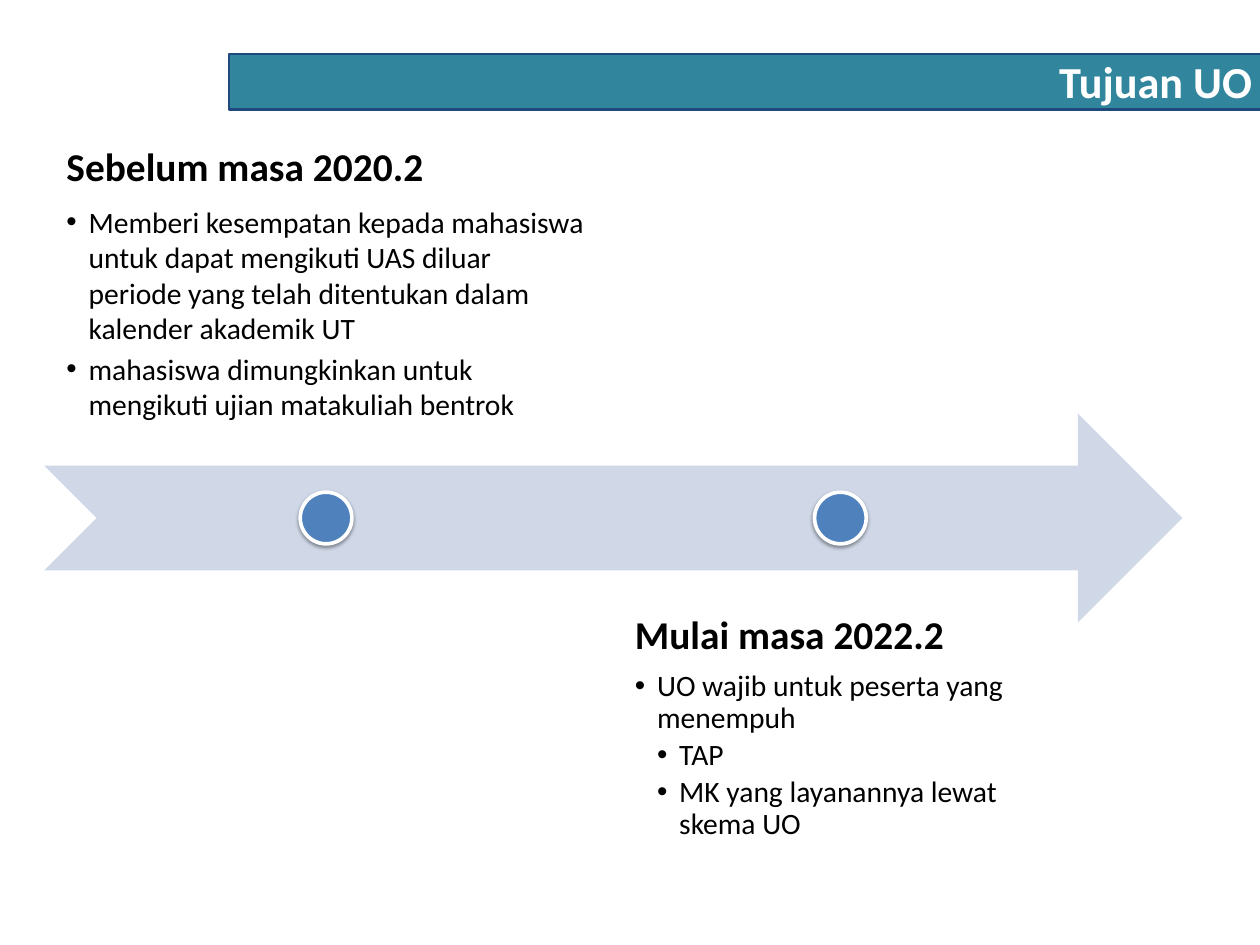
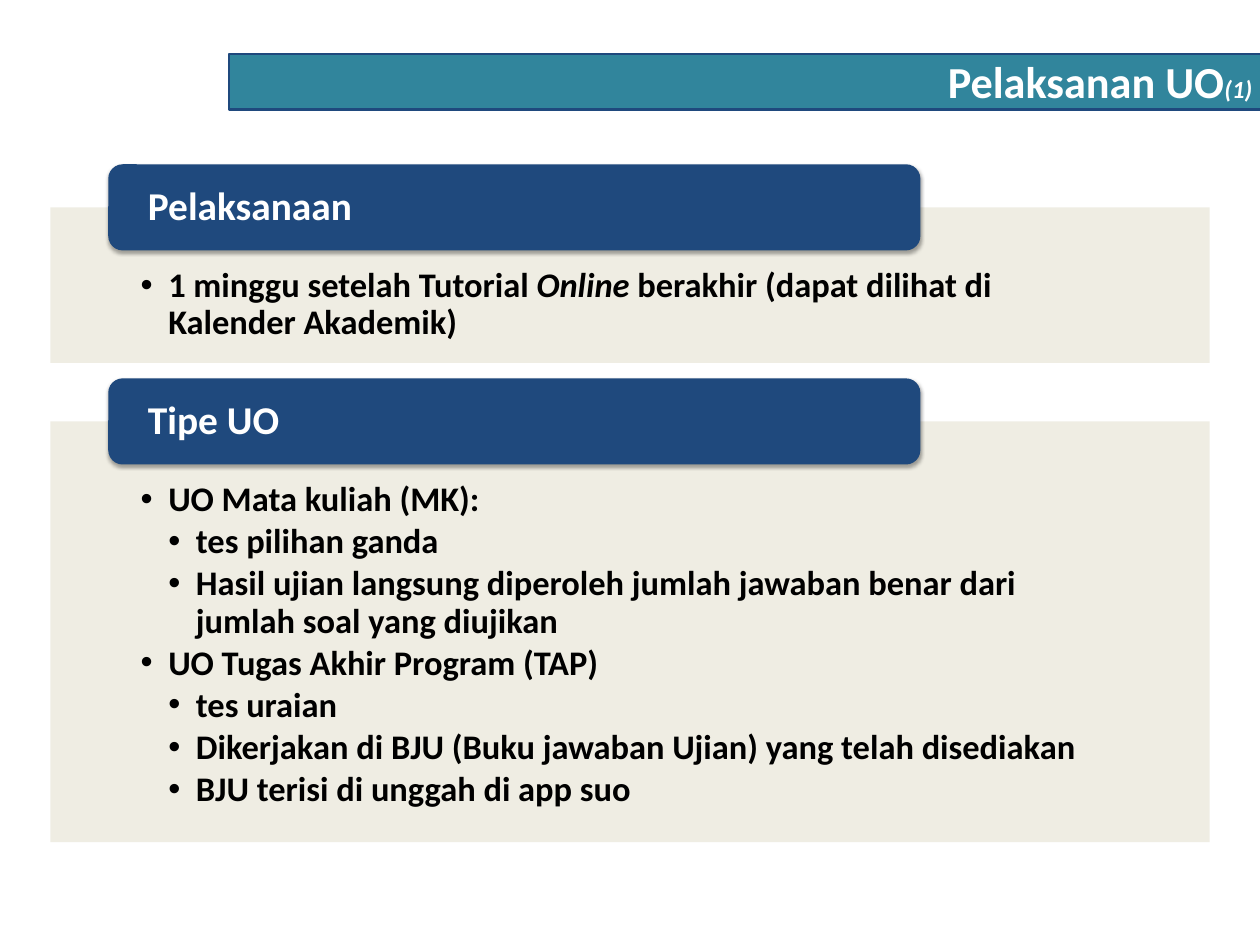
from lxml import etree
from pptx import Presentation
from pptx.dml.color import RGBColor
from pptx.enum.shapes import MSO_SHAPE
from pptx.enum.text import MSO_ANCHOR, MSO_AUTO_SIZE, PP_ALIGN
from pptx.oxml.ns import qn
from pptx.util import Pt

RECTANGLE = MSO_SHAPE.RECTANGLE
ROUNDED = MSO_SHAPE.ROUNDED_RECTANGLE
ARROW = MSO_SHAPE.NOTCHED_RIGHT_ARROW
OVAL = MSO_SHAPE.OVAL
TOP, MIDDLE, BOTTOM = MSO_ANCHOR.TOP, MSO_ANCHOR.MIDDLE, MSO_ANCHOR.BOTTOM
LEFT, RIGHT = PP_ALIGN.LEFT, PP_ALIGN.RIGHT
NO_AUTOFIT = MSO_AUTO_SIZE.NONE

FONT = "Calibri"
BLACK, WHITE = "000000", "FFFFFF"
TEAL, NAVY, BLUE = "31859C", "1F497D", "4F81BD"
PALE_BLUE, CREAM = "D0D8E8", "EEECE1"
TWO_CONTENT = 3
DOT_SIZE = 42
PANEL_LEFT, PANEL_WIDTH = 41, 942
HEADER_HEIGHT = 70

BEFORE = [
    (0, ["Sebelum masa 2020.2"]),
    (1, ["Memberi kesempatan kepada mahasiswa untuk dapat mengikuti UAS diluar "
         "periode yang telah ditentukan dalam kalender akademik UT"]),
    (1, ["mahasiswa dimungkinkan untuk mengikuti ujian matakuliah bentrok"]),
]
SINCE = [
    (0, ["Mulai masa 2022.2"]),
    (1, ["UO wajib untuk peserta yang menempuh"]),
    (2, ["TAP"]),
    (2, ["MK yang layanannya lewat skema UO"]),
]
SCHEDULE = [
    (1, ["1 minggu setelah Tutorial ", "Online ",
         "berakhir (dapat dilihat di Kalender Akademik)"]),
]
EXAM_TYPES = [
    (1, ["UO Mata kuliah (MK):"]),
    (2, ["tes pilihan ganda"]),
    (2, ["Hasil ujian langsung diperoleh jumlah jawaban benar dari "
         "jumlah soal yang diujikan"]),
    (1, ["UO Tugas Akhir Program (TAP)"]),
    (2, ["tes uraian"]),
    (2, ["Dikerjakan di BJU (Buku jawaban Ujian) yang telah disediakan"]),
    (2, ["BJU terisi di unggah di app suo"]),
]


def rgb(value):
    """Return the colour for a hex string."""
    return RGBColor.from_string(value)


def place(shape, left, top, width, height):
    """Move and size a shape, in points."""
    shape.left, shape.top = Pt(left), Pt(top)
    shape.width, shape.height = Pt(width), Pt(height)


def set_frame(frame, margins, anchor):
    """Set the insets (left, top, right, bottom) and anchor of a text frame."""
    frame.word_wrap = True
    frame.auto_size = NO_AUTOFIT
    frame.vertical_anchor = anchor
    (frame.margin_left, frame.margin_top,
     frame.margin_right, frame.margin_bottom) = map(Pt, margins)


def set_font(font, size, color, bold=True):
    """Set the name, size, colour and weight of a font."""
    font.name, font.size, font.bold = FONT, Pt(size), bold
    font.color.rgb = rgb(color)


def add_runs(paragraph, parts):
    """Add text parts, of which every second one is italic."""
    for index, text in enumerate(parts):
        run = paragraph.add_run()
        run.text = text
        if index % 2:
            run.font.italic = True


def set_bullet(paragraph, level, indent):
    """Give a paragraph a round bullet at its level, or none at level 0."""
    properties = paragraph._p.get_or_add_pPr()
    properties.set("marL", str(Pt(indent * level)))
    properties.set("indent", str(-Pt(indent) if level else 0))
    if level:
        etree.SubElement(properties, qn("a:buFont"), typeface="Arial")
        etree.SubElement(properties, qn("a:buChar"), char="•")
    else:
        etree.SubElement(properties, qn("a:buNone"))


def fill_list(placeholder, items, box, margins, size, indent, bold=False,
              anchor=TOP, line_spacing=0.9):
    """Move a body placeholder and fill it with headings and bullets."""
    place(placeholder, *box)
    frame = placeholder.text_frame
    set_frame(frame, margins, anchor)
    for index, (level, parts) in enumerate(items):
        paragraph = frame.add_paragraph() if index else frame.paragraphs[0]
        add_runs(paragraph, parts)
        paragraph.level = level
        set_bullet(paragraph, level, indent)
        paragraph.alignment = LEFT
        paragraph.space_before = Pt(0)
        paragraph.space_after = Pt(4 if level else 11)
        paragraph.line_spacing = line_spacing if level else 0.9
        if level:
            set_font(paragraph.font, size, BLACK, bold)
        else:
            set_font(paragraph.font, 32, BLACK)


def add_box(slide, kind, box, fill, line=None, line_width=0):
    """Add a filled preset shape, with an outline if a line colour is given."""
    shape = slide.shapes.add_shape(kind, *map(Pt, box))
    shape.fill.solid()
    shape.fill.fore_color.rgb = rgb(fill)
    if line:
        shape.line.color.rgb = rgb(line)
        shape.line.width = Pt(line_width)
    else:
        shape.line.fill.background()
    shape.shadow.inherit = False
    return shape


def add_shadow(shape, distance, opacity):
    """Give a shape a soft shadow straight below it."""
    effects = shape.element.spPr.find(qn("a:effectLst"))
    shadow = etree.SubElement(
        effects, qn("a:outerShdw"), blurRad=str(Pt(3.1)),
        dist=str(Pt(distance)), dir="5400000", rotWithShape="0")
    color = etree.SubElement(shadow, qn("a:srgbClr"), val=BLACK)
    etree.SubElement(color, qn("a:alpha"), val=str(opacity * 1000))


def set_up_layout(layout, slide):
    """Put the title band and the title's place on the shared layout."""
    band = add_box(slide, RECTANGLE, (186, 44, 841, 45), TEAL, NAVY, 2)
    layout.shapes.element.insert(2, band.element)
    title = layout.placeholders[0]
    place(title, 198, 36, 824, 59)
    set_frame(title.text_frame, (4.32,) * 4, MIDDLE)


def set_title(slide, *parts):
    """Write the right-aligned slide title, with an optional small suffix."""
    paragraph = slide.shapes.title.text_frame.paragraphs[0]
    add_runs(paragraph, parts)
    paragraph.alignment = RIGHT
    set_font(paragraph.font, 36, WHITE)
    for run in paragraph.runs[1:]:
        run.font.size = Pt(20)


def add_dot(slide, left):
    """Add a milestone dot on the timeline arrow."""
    dot = add_box(slide, OVAL, (left, 400, DOT_SIZE, DOT_SIZE), BLUE, WHITE, 3)
    add_shadow(dot, 1.6, 38)


def add_panel(slide, placeholder, heading, items, top, height):
    """Turn a body placeholder into a panel with a heading over its top edge."""
    fill_list(placeholder, items, (PANEL_LEFT, top, PANEL_WIDTH, height),
              (73.25, 49, 73.25, 16), 28, 22.5, bold=True)
    placeholder.fill.solid()
    placeholder.fill.fore_color.rgb = rgb(CREAM)
    color = placeholder.element.spPr.find(".//" + qn("a:srgbClr"))
    etree.SubElement(color, qn("a:alpha"), val="90000")

    header = add_box(slide, ROUNDED,
                     (88, top - HEADER_HEIGHT / 2, 660, HEADER_HEIGHT), NAVY)
    add_shadow(header, 1.8, 35)
    set_frame(header.text_frame, (28.8, 0, 28.8, 0), MIDDLE)
    paragraph = header.text_frame.paragraphs[0]
    paragraph.text = heading
    paragraph.alignment = LEFT
    paragraph.line_spacing = 0.9
    set_font(paragraph.font, 32, WHITE)


def build_goals(slide):
    """Build the timeline of goals before and since the change."""
    set_title(slide, "Tujuan UO")
    before, since = slide.placeholders[1], slide.placeholders[2]
    fill_list(before, BEFORE, (36, 117.5, 459, 243), (18,) * 4, 24, 18,
              anchor=BOTTOM, line_spacing=1.0)
    fill_list(since, SINCE, (498, 482, 369, 243), (18,) * 4, 24, 18)
    add_box(slide, ARROW, (36, 336, 925, 170), PALE_BLUE)
    for left in (244, 662):
        add_dot(slide, left)


def build_delivery(slide):
    """Build the panels on schedule and exam types."""
    set_title(slide, "Pelaksanan UO", "(1)")
    add_panel(slide, slide.placeholders[1], "Pelaksanaan", SCHEDULE, 168.5, 126.5)
    add_panel(slide, slide.placeholders[2], "Tipe UO", EXAM_TYPES, 342.5, 342)


def main():
    """Build and save the presentation."""
    presentation = Presentation()
    presentation.slide_width, presentation.slide_height = Pt(1024), Pt(768)
    layout = presentation.slide_layouts[TWO_CONTENT]
    goals = presentation.slides.add_slide(layout)
    delivery = presentation.slides.add_slide(layout)
    set_up_layout(layout, goals)
    build_goals(goals)
    build_delivery(delivery)
    presentation.save("out.pptx")


if __name__ == "__main__":
    main()
